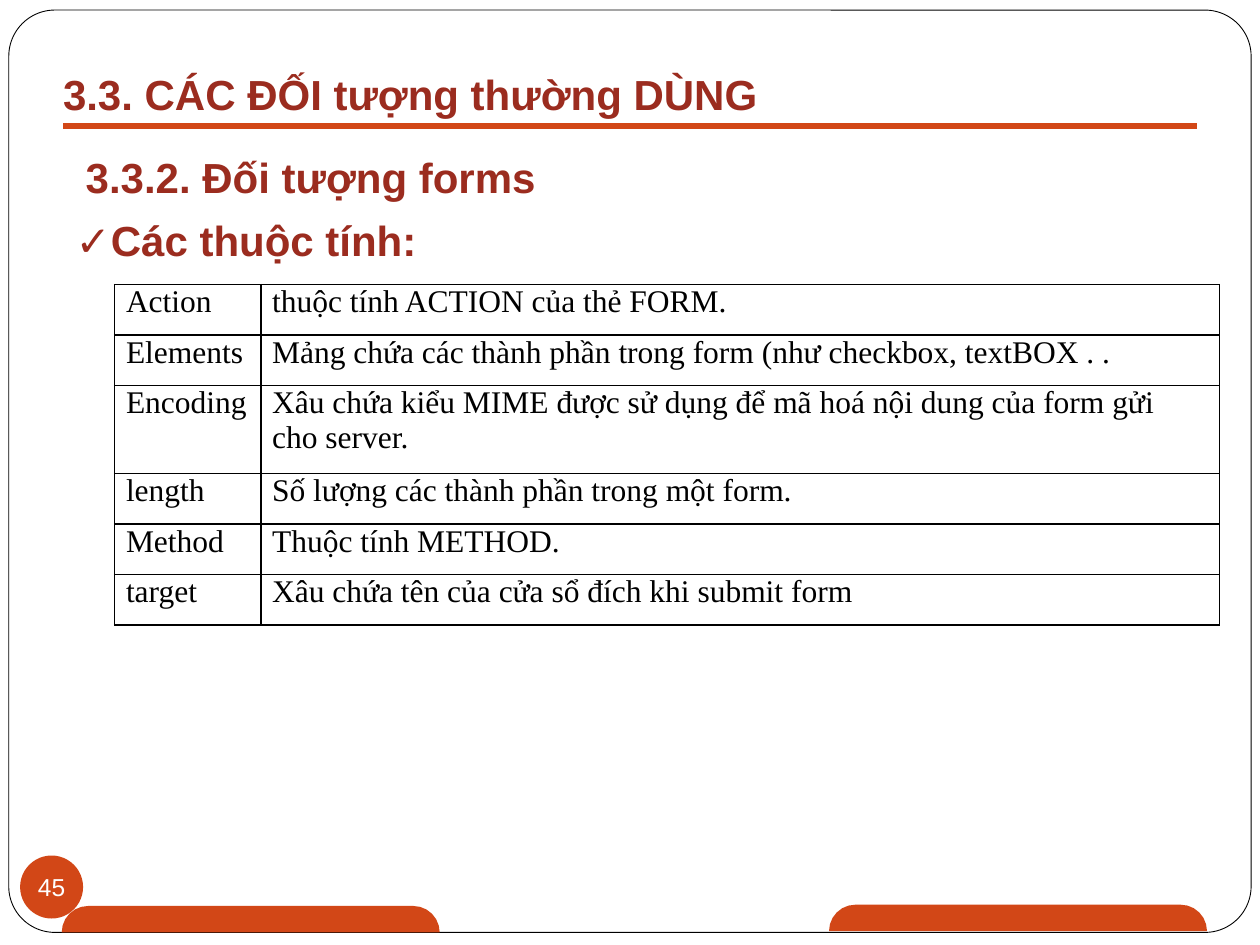
import math

import pptx
import pptx.dml.color
import pptx.enum.shapes
import pptx.enum.text
import pptx.oxml
import pptx.oxml.ns
import pptx.util

Inches = pptx.util.Inches
Pt = pptx.util.Pt
KIND = pptx.enum.shapes.MSO_SHAPE
RUST, BRICK, BLACK, WHITE = "D24717", "9B2C1F", "000000", "FFFFFF"


def rgb(code):
    return pptx.dml.color.RGBColor.from_string(code)


def write(para, text, color, indent=0, **form):
    """Add a run with the given font values to an indented paragraph."""
    run = para.add_run()
    run.text = text
    run.font.color.rgb = rgb(color)
    for name, value in form.items():
        setattr(run.font, name, value)
    para._p.get_or_add_pPr().set("marL", str(Inches(indent)))


deck = pptx.Presentation()
deck.slide_width, deck.slide_height = Inches(10), Inches(7.5)
slide = deck.slides.add_slide(deck.slide_layouts[5])
shapes = slide.shapes

# Page frame
frame = shapes.add_shape(KIND.ROUNDED_RECTANGLE, Inches(0.07), Inches(0.08),
                         Inches(9.86), Inches(7.32))
frame.adjustments[0] = 0.05
frame.shadow.inherit = False
frame.fill.background()
frame.line.color.rgb = rgb(BLACK)
frame.line.width = Pt(0.5)

# Page number disc
disc = shapes.add_shape(KIND.OVAL, Inches(0.16), Inches(6.79), Inches(0.5), Inches(0.5))
frm = disc.text_frame
frm.margin_left = frm.margin_right = frm.margin_top = frm.margin_bottom = 0
frm.vertical_anchor = pptx.enum.text.MSO_ANCHOR.MIDDLE
frm.paragraphs[0].alignment = pptx.enum.text.PP_ALIGN.CENTER
write(frm.paragraphs[0], "45", WHITE, size=Pt(14), name="Arial")

# Footer tabs with quarter-round upper corners
wide, tall = 3, 0.21
arc = [math.radians(15 * n) for n in range(7)]
left = [(tall * (1 - math.cos(a)), tall * (1 - math.sin(a))) for a in arc]
edge = left + [(wide - x, y) for x, y in reversed(left)]
solid = [disc]
for x0, y0 in ((0.49, 7.19), (6.58, 7.18)):
    pts = [(Inches(x0 + x), Inches(y0 + y)) for x, y in edge]
    pen = shapes.build_freeform(*pts[0])
    pen.add_line_segments(pts[1:], close=True)
    solid.append(pen.convert_to_shape())
for shape in solid:
    shape.shadow.inherit = False
    shape.fill.solid()
    shape.fill.fore_color.rgb = rgb(RUST)
    shape.line.fill.background()

# Rule under the heading
rule = shapes.add_connector(pptx.enum.shapes.MSO_CONNECTOR.STRAIGHT,
                            Inches(0.5), Inches(1), Inches(9.5), Inches(1))
rule.line.color.rgb = rgb(RUST)
rule.line.width = Pt(3)
rule._element.spPr.append(pptx.oxml.parse_xml(
    "<a:effectLst %s/>" % pptx.oxml.ns.nsdecls("a")))

# Headings
title = shapes.title
title.left, title.top = Inches(0.49), Inches(0.54)
title.width, title.height = Inches(6.11), Inches(1.58)
frm = title.text_frame
for name, value in {"margin_left": 0, "margin_right": 0, "margin_top": 0,
                    "margin_bottom": 0, "word_wrap": True,
                    "auto_size": pptx.enum.text.MSO_AUTO_SIZE.NONE,
                    "vertical_anchor": pptx.enum.text.MSO_ANCHOR.TOP}.items():
    setattr(frm, name, value)
heads = [("3.3. CÁC ĐỐI tượng thường DÙNG", 0.01, 0),
         ("3.3.2. Đối tượng forms", 0.19, 19.1),
         ("Các thuộc tính:", 0.11, 7.2)]
for row, (text, indent, gap) in enumerate(heads):
    para = frm.add_paragraph() if row else frm.paragraphs[0]
    para.alignment = pptx.enum.text.PP_ALIGN.LEFT
    para.space_before = Pt(gap)
    font = {"size": Pt(24), "name": "Arial"}
    if row == 2:
        write(para, "✓", BRICK, indent, bold=False, **font)
    write(para, text, BRICK, indent, bold=True, **font)

# Property table
rows = [("Action", "thuộc tính ACTION của thẻ FORM."),
        ("Elements", "Mảng chứa các thành phần trong form (như checkbox, textBOX . ."),
        ("Encoding", "Xâu chứa kiểu MIME được sử dụng để mã hoá nội dung của form gửi "
                     "cho server."),
        ("length", "Số lượng các thành phần trong một form."),
        ("Method", "Thuộc tính METHOD."),
        ("target", "Xâu chứa tên của cửa sổ đích khi submit form")]
table = shapes.add_table(len(rows), 2, Inches(0.91), Inches(2.26),
                         Inches(8.77), Inches(2.7)).table
table.first_row = table.horz_banding = False
for col, size in zip(table.columns, (1.16, 7.61)):
    col.width = Inches(size)
for r, texts in enumerate(rows):
    table.rows[r].height = Inches(0.7 if r == 2 else 0.4)
    for c, text in enumerate(texts):
        cell = table.cell(r, c)
        cell.margin_left = cell.margin_top = cell.margin_bottom = 0
        cell.margin_right = Inches(0.3 * c)
        para = cell.text_frame.paragraphs[0]
        para.space_before = Pt(2.5)
        write(para, text, BLACK, 0.09, size=Pt(18), name="Times New Roman")
        props = cell._tc.get_or_add_tcPr()
        for side in ("lnL", "lnR", "lnT", "lnB"):
            props.append(pptx.oxml.parse_xml(
                '<a:%s %s w="12700"><a:solidFill><a:srgbClr val="%s"/></a:solidFill></a:%s>'
                % (side, pptx.oxml.ns.nsdecls("a"), BLACK, side)))
        cell.fill.background()

deck.save("out.pptx")
